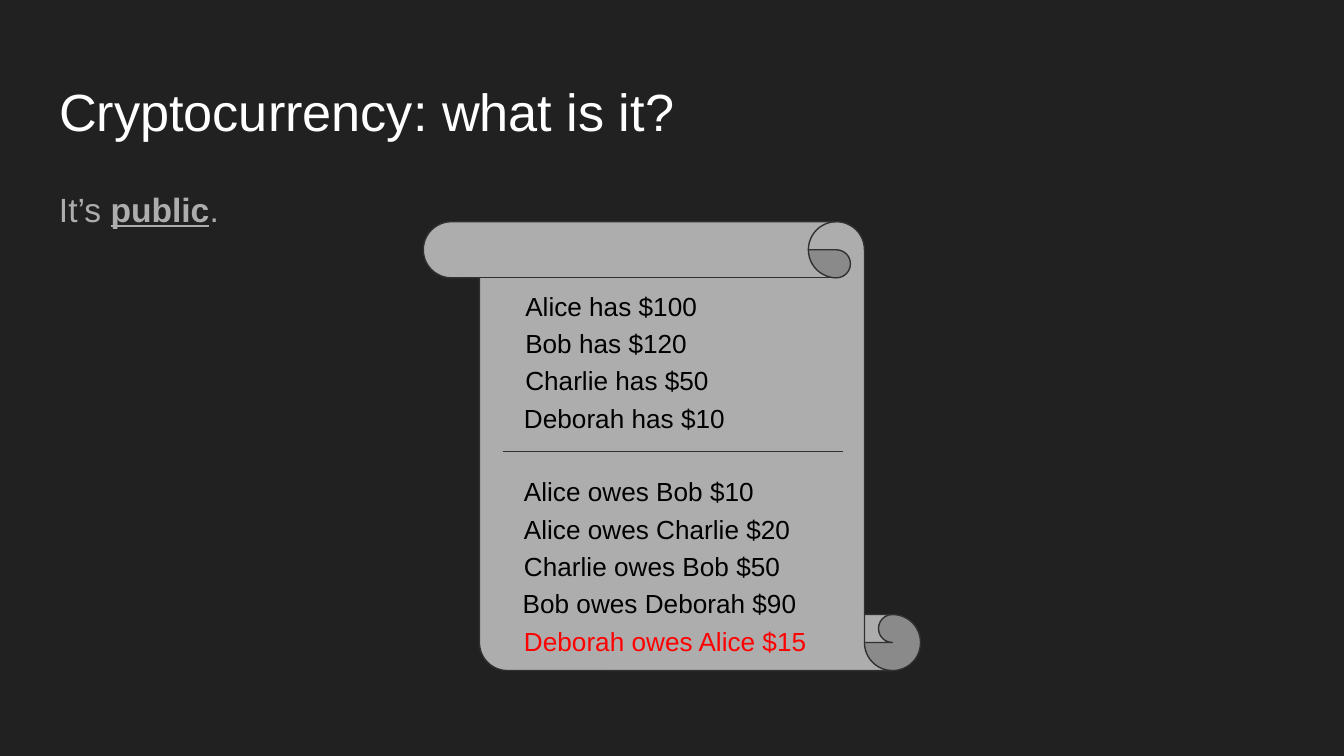
"""Build the slide that shows a cryptocurrency ledger as a public scroll."""
from pptx import Presentation
from pptx.dml.color import RGBColor
from pptx.enum.shapes import MSO_CONNECTOR, MSO_SHAPE
from pptx.enum.text import MSO_ANCHOR, PP_ALIGN
from pptx.oxml.ns import qn
from pptx.util import Inches, Pt
from lxml.etree import SubElement

BACKGROUND = RGBColor(0x21, 0x21, 0x21)
WHITE = RGBColor(0xFF, 0xFF, 0xFF)
GREY = RGBColor(0xAD, 0xAD, 0xAD)
OUTLINE = RGBColor(0x30, 0x30, 0x30)
BLACK = RGBColor(0x00, 0x00, 0x00)
RED = RGBColor(0xFF, 0x00, 0x00)


def write(sp, text, size, color):
    tf = sp.text_frame
    tf.word_wrap = True
    tf.vertical_anchor = MSO_ANCHOR.TOP
    tf.margin_left = tf.margin_right = Inches(0.1)
    tf.margin_top = tf.margin_bottom = Inches(0.1)
    p = tf.paragraphs[0]
    p.text = text
    p.alignment = PP_ALIGN.LEFT
    p.font.name = "Arial"
    p.font.size = Pt(size)
    p.font.color.rgb = color
    return p


prs = Presentation()
prs.slide_width = Inches(10)
prs.slide_height = prs.slide_width * 9 // 16
s = prs.slides.add_slide(prs.slide_layouts[5])
s.background.fill.solid()
s.background.fill.fore_color.rgb = BACKGROUND

title = s.shapes.title
title.left, title.top = Inches(0.34), Inches(0.49)
title.width, title.height = Inches(9.32), Inches(0.63)
write(title, "Cryptocurrency: what is it?", 28, WHITE)

body = s.shapes.add_textbox(Inches(0.34), Inches(1.26), Inches(9.32), Inches(3.74))
p = write(body, "It’s ", 18, GREY)
p.line_spacing = 1.15
p.space_after = Pt(16)
r = p.add_run()
r.text = "public"
r.font.bold = r.font.underline = True
p.add_run().text = "."

scroll = s.shapes.add_shape(MSO_SHAPE.VERTICAL_SCROLL, Inches(3.15), Inches(1.65),
                            Inches(3.7), Inches(3.34))
scroll.adjustments[0] = 0.125
scroll.element.spPr.find(qn("a:xfrm")).set("flipH", "1")
scroll.shadow.inherit = False
scroll.fill.solid()
scroll.fill.fore_color.rgb = GREY
scroll.line.color.rgb = OUTLINE
scroll.line.width = Pt(0.75)

ledger = [
    (2.06, [("Alice has $100", 3.81, 2.22, BLACK),
            ("Bob has $120", 3.81, 2.22, BLACK),
            ("Charlie has $50", 3.81, 2.22, BLACK),
            ("Deborah has $10", 3.8, 2.42, BLACK)]),
    (3.44, [("Alice owes Bob $10", 3.8, 2.22, BLACK),
            ("Alice owes Charlie $20", 3.8, 2.22, BLACK),
            ("Charlie owes Bob $50", 3.8, 2.22, BLACK),
            ("Bob owes Deborah $90", 3.79, 2.42, BLACK),
            ("Deborah owes Alice $15", 3.8, 2.52, RED)]),
]
row_pitch = Inches(3.33) // 12
for top, entries in ledger:
    for i, (text, left, width, color) in enumerate(entries):
        entry = s.shapes.add_textbox(Inches(left), Inches(top) + i * row_pitch,
                                     Inches(width), Inches(0.44))
        write(entry, text, 14, color)

divider = s.shapes.add_connector(MSO_CONNECTOR.STRAIGHT, Inches(3.74), Inches(3.36),
                                 Inches(6.27), Inches(3.36))
divider.line.color.rgb = OUTLINE
divider.line.width = Pt(0.75)
SubElement(divider.element.spPr, qn("a:effectLst"))

prs.save("out.pptx")
